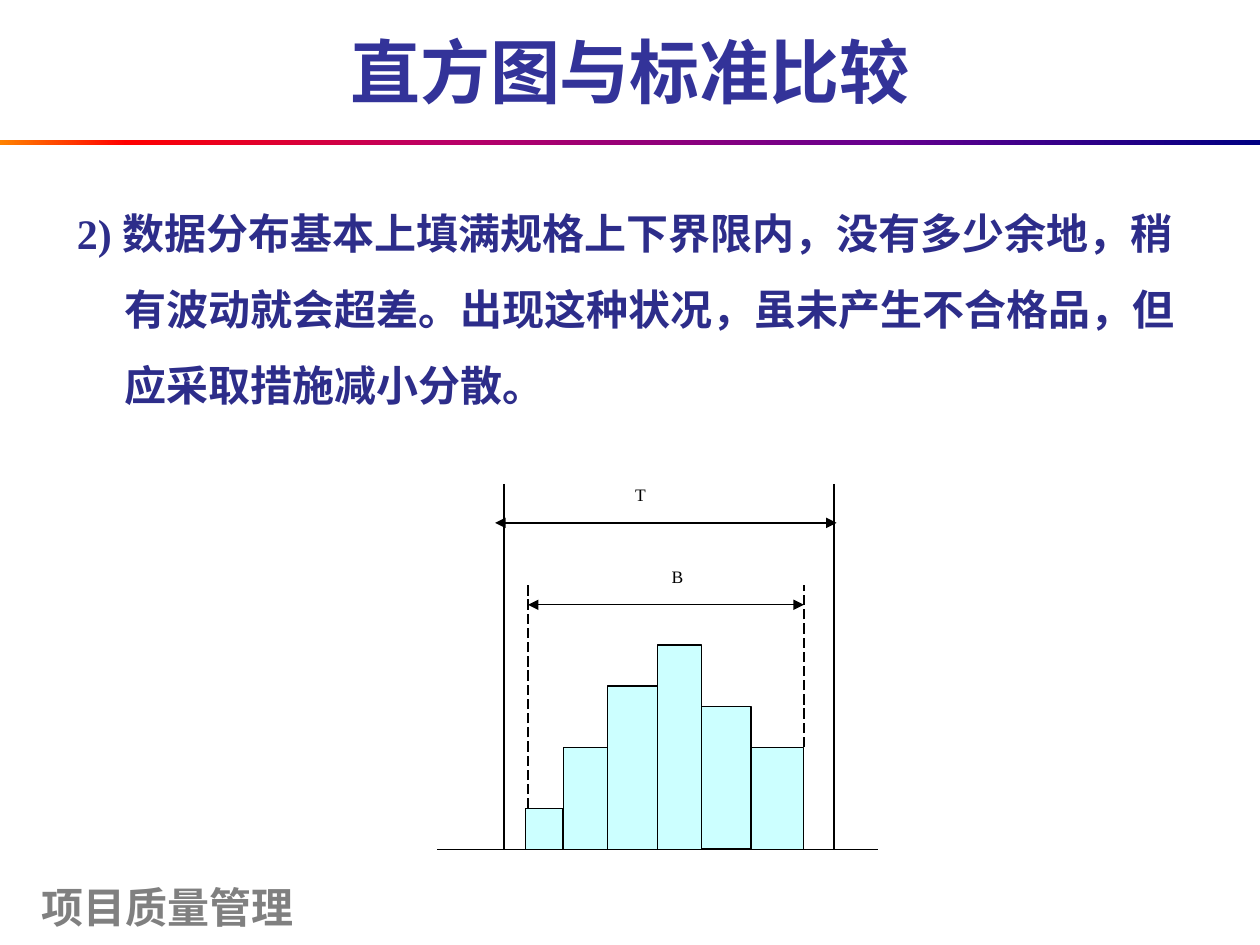
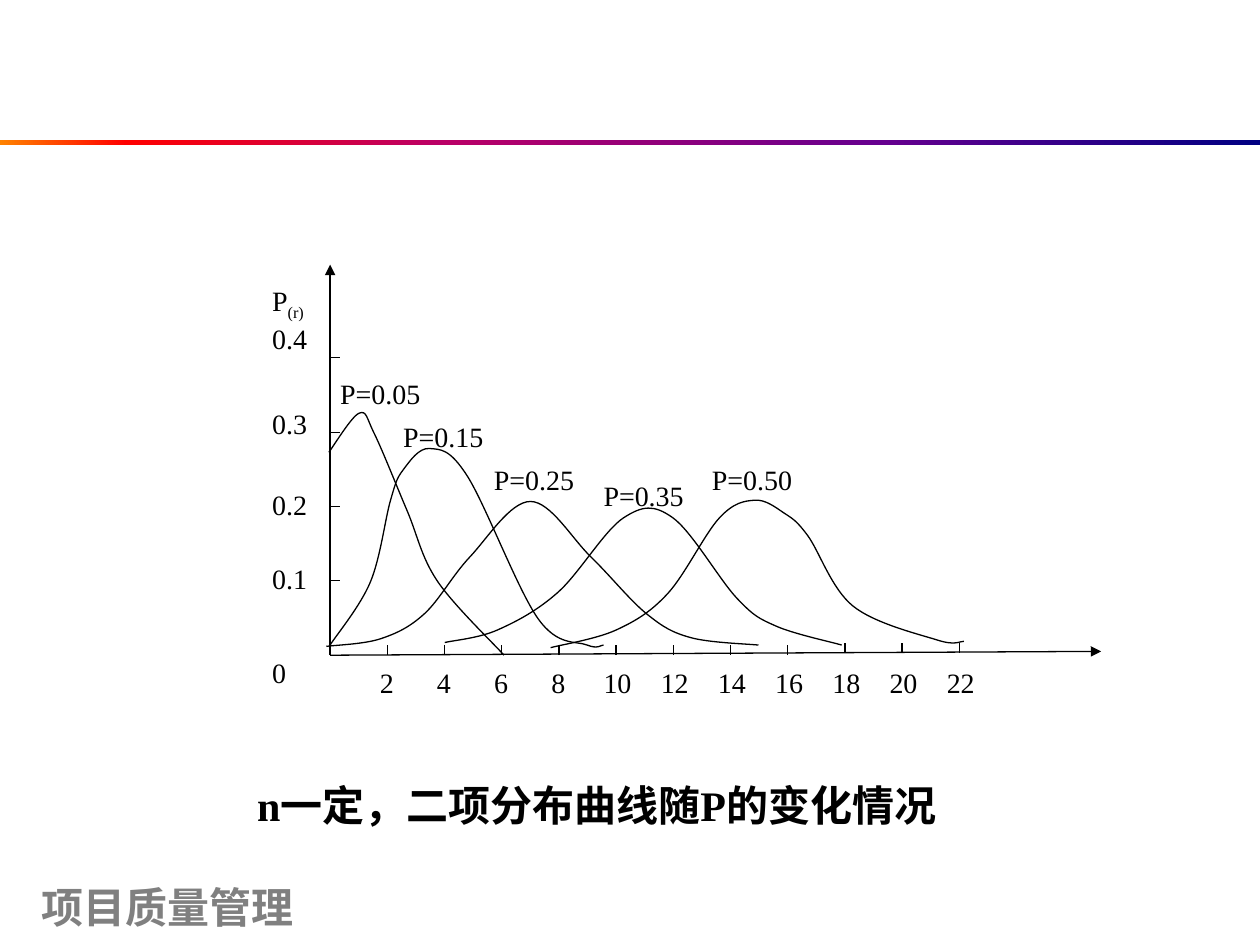
from itertools import pairwise

from lxml import etree
from pptx import Presentation
from pptx import util as u
from pptx.dml.color import RGBColor
from pptx.enum import dml, lang, shapes, text
from pptx.oxml.ns import qn

PX = 9144
WIDTH, HEIGHT = 1000, 750

BLACK = RGBColor.from_string("000000")
WHITE = RGBColor.from_string("FFFFFF")
GREY = RGBColor.from_string("808080")
TITLE_BLUE = RGBColor.from_string("333399")
BODY_BLUE = RGBColor.from_string("2D2D8A")
BAR_CYAN = RGBColor.from_string("CCFFFF")
ORANGE = RGBColor.from_string("FF8200")
RED = RGBColor.from_string("FF0000")
CRIMSON = RGBColor.from_string("BA0066")
PURPLE = RGBColor.from_string("66008F")
NAVY = RGBColor.from_string("000082")
BAND_STOPS = {0: ORANGE, 10: RED, 35: CRIMSON, 70: PURPLE, 100: NAVY}
SANS, SERIF = "Arial", "Times New Roman"

COURSE = "项目质量管理"
TITLE = "直方图与标准比较"
FINDING = ("2) 数据分布基本上填满规格上下界限内，没有多少余地，稍有波动就会超差。"
           "出现这种状况，虽未产生不合格品，但应采取措施减小分散。")
CAPTION = "n一定，二项分布曲线随P的变化情况"

BASELINE = 674
COUNT_HEIGHT = 16.2
COUNTS = [2, 5, 8, 10, 7, 5]
BAR_EDGES = [417, 447, 482, 522, 557, 596, 638]
TOLERANCE = {"name": "T", "label": (504, 383), "span": (400, 662), "arrow": 415}
SPREAD = {"name": "B", "label": (533, 448), "span": (419, 638), "arrow": 480}

ORIGIN = (262, 520)
X_STEP, Y_STEP = 45.4, 59
X_VALUES = range(2, 23, 2)
Y_LABELS = {"0.4": 255, "0.3": 323, "0.2": 387, "0.1": 446, "0": 520}
CURVES = [
    ("P=0.05", (270, 299),
     [(261, 359), (285, 328), (297, 344), (323, 405), (347, 461), (400, 520)]),
    ("P=0.15", (320, 333),
     [(262, 512), (294, 462), (310, 397), (320, 373), (341, 356), (371, 378),
      (427, 491), (466, 512), (479, 512)]),
    ("P=0.25", (392, 367),
     [(259, 513), (302, 507), (337, 487), (373, 442), (421, 398), (469, 442),
      (513, 487), (548, 506), (602, 512)]),
    ("P=0.35", (479, 380),
     [(353, 510), (395, 500), (443, 470), (495, 411), (534, 411), (585, 475),
      (616, 497), (668, 512)]),
    ("P=0.50", (565, 367),
     [(437, 514), (489, 500), (530, 471), (571, 411), (599, 397), (622, 407),
      (641, 425), (677, 481), (744, 508), (765, 509)]),
]


def emu(*lengths):
    return [round(length * PX) for length in lengths]


def write(paragraph, words, size, font, color, bold=False):
    run = paragraph.add_run()
    run.text = words
    run.font.size = u.Pt(size)
    run.font.name = font
    run.font.bold = bold
    run.font.color.rgb = color
    run.font.language_id = lang.MSO_LANGUAGE_ID.SIMPLIFIED_CHINESE
    return run


def place(shape, box):
    shape.left, shape.top, shape.width, shape.height = emu(*box)


def ink(line):
    line.color.rgb = BLACK
    line.width = u.Pt(0.75)


def add_box(part, box, fill):
    shape = part.shapes.add_shape(shapes.MSO_SHAPE.RECTANGLE, *emu(*box))
    shape.shadow.inherit = False
    shape.fill.solid()
    shape.fill.fore_color.rgb = fill
    shape.line.fill.background()
    return shape


def add_label(part, words, corner, extent=(45, 44), size=16, inset=0):
    frame = add_box(part, (*corner, *extent), WHITE).text_frame
    frame.margin_left = frame.margin_right = 0
    frame.margin_top = frame.margin_bottom = inset * PX
    frame.vertical_anchor = text.MSO_ANCHOR.TOP
    frame.word_wrap = True
    paragraph = frame.paragraphs[0]
    paragraph.alignment = text.PP_ALIGN.JUSTIFY
    write(paragraph, words, size, SERIF, BLACK)
    return paragraph


def add_line(part, start, end, arrows=(), dash=None):
    line = part.shapes.add_connector(
        shapes.MSO_CONNECTOR.STRAIGHT, *emu(*start, *end))
    ink(line.line)
    if dash:
        line.line.dash_style = dash
    properties = line.element.spPr
    for arrow in arrows:
        etree.SubElement(properties.find(qn("a:ln")), qn(arrow), type="triangle")
    etree.SubElement(properties, qn("a:effectLst"))


def bezier_points(knots):
    padded = [knots[0], *knots, knots[-1]]
    slopes = [[(after - before) / 6 for before, after in zip(left, right)]
              for left, right in zip(padded, padded[2:])]
    points = []
    for (start, leaving), (end, arriving) in pairwise(zip(knots, slopes)):
        points += [[a + b for a, b in zip(start, leaving)],
                   [a - b for a, b in zip(end, arriving)], end]
    return points


def add_curve(part, knots):
    builder = part.shapes.build_freeform(*emu(*knots[0]))
    builder.add_line_segments(
        [emu(*point) for point in bezier_points(knots)], close=False)
    curve = builder.convert_to_shape()
    curve.shadow.inherit = False
    curve.fill.background()
    ink(curve.line)
    outline = next(curve.element.iter(qn("a:path")))
    steps = outline.findall(qn("a:lnTo"))
    for first in range(0, len(steps), 3):
        bezier = etree.SubElement(outline, qn("a:cubicBezTo"))
        for step in steps[first:first + 3]:
            bezier.append(step[0])
            outline.remove(step)


def add_text(slide, words, box, color, font, wrap=True):
    words_box = slide.shapes.add_textbox(*emu(*box))
    frame = words_box.text_frame
    frame.word_wrap = wrap
    frame.vertical_anchor = text.MSO_ANCHOR.MIDDLE
    write(frame.paragraphs[0], words, 24, font, color, True)
    return words_box


def furnish_master(master, slide):
    course = add_text(slide, COURSE, (23, 695, 250, 50), GREY, SANS)
    band = add_box(slide, (0, 111, WIDTH, 4), WHITE)
    band.fill.gradient()
    band.fill.gradient_angle = 0
    stops = next(band.element.iter(qn("a:gsLst")))
    for stop in list(stops):
        stops.remove(stop)
    for percent, color in BAND_STOPS.items():
        stop = etree.SubElement(stops, qn("a:gs"), pos=str(percent * 1000))
        etree.SubElement(stop, qn("a:srgbClr"), val=str(color))
    for number, part in enumerate((course, band), 20):
        part.element.nvSpPr.cNvPr.set("id", str(number))
        master.shapes.element.append(part.element)


def fill_histogram_slide(slide):
    title, finding = slide.placeholders
    place(title, (51, 5, 898, 102))
    title.text_frame.vertical_anchor = text.MSO_ANCHOR.MIDDLE
    heading = title.text_frame.paragraphs[0]
    heading.alignment = text.PP_ALIGN.CENTER
    write(heading, TITLE, 40, SANS, TITLE_BLUE, True)

    place(finding, (51, 140, 900, 495))
    paragraph = finding.text_frame.paragraphs[0]
    paragraph.line_spacing = 1.5
    paragraph.space_before = u.Pt(0)
    write(paragraph, FINDING, 24, SERIF, BODY_BLUE, True)
    hanging = next(finding.element.iter(qn("a:pPr")))
    hanging.set("marL", str(38 * PX))
    hanging.set("indent", str(-38 * PX))
    etree.SubElement(hanging, qn("a:buNone"))
    for holder in (title, finding):
        holder.text_frame.auto_size = text.MSO_AUTO_SIZE.NONE

    histogram = slide.shapes.add_group_shape()
    both_ends = ("a:headEnd", "a:tailEnd")
    for measure in (TOLERANCE, SPREAD):
        add_label(histogram, measure["name"], measure["label"], (30, 32), 10, 1)
    add_line(histogram, (347, BASELINE), (697, BASELINE))
    tops = [BASELINE - count * COUNT_HEIGHT for count in COUNTS]
    for (left, right), top in zip(pairwise(BAR_EDGES), tops):
        ink(add_box(histogram, (left, top, right - left, BASELINE - top),
                    BAR_CYAN).line)
    for x, top in zip(SPREAD["span"], (tops[0], tops[-1])):
        add_line(histogram, (x, top), (x, 464), dash=dml.MSO_LINE.LONG_DASH)
    for x in TOLERANCE["span"]:
        add_line(histogram, (x, 384), (x, BASELINE))
    for measure, overshoot in ((TOLERANCE, (7, 2)), (SPREAD, (0, 0))):
        left, right = measure["span"]
        add_line(histogram, (left - overshoot[0], measure["arrow"]),
                 (right + overshoot[1], measure["arrow"]), both_ends)


def fill_binomial_slide(slide):
    plot = slide.shapes.add_group_shape()
    x0, y0 = ORIGIN
    axis_name = add_label(plot, "P", (216, 225))
    subscript = write(axis_name, "(r)", 16, SERIF, BLACK)
    subscript.font._element.set("baseline", "-25000")
    for words, top in Y_LABELS.items():
        add_label(plot, words, (216, top))
    for index, value in enumerate(X_VALUES, 1):
        x = x0 + X_STEP * index
        foot = y0 if index <= 8 else y0 - 2
        shift = 6 if value < 10 else 10
        add_label(plot, str(value), (x - shift, 528))
        add_line(plot, (x, foot), (x, foot - 8))
    for words, corner, _ in CURVES:
        add_label(plot, words, corner, (76, 29))
    for index in range(1, 5):
        y = y0 - Y_STEP * index
        add_line(plot, (x0, y), (x0 + 8, y))
    for axis_end in ((874, 517), (x0, 210)):
        add_line(plot, ORIGIN, axis_end, ("a:tailEnd",))
    for _, _, knots in CURVES:
        add_curve(plot, knots)

    caption = add_text(slide, CAPTION, (180, 614, 587, 50), BLACK, SERIF, False)
    caption.text_frame.paragraphs[0].alignment = text.PP_ALIGN.CENTER


def main():
    deck = Presentation()
    deck.slide_width, deck.slide_height = emu(WIDTH, HEIGHT)
    histogram_slide = deck.slides.add_slide(deck.slide_layouts[1])
    binomial_slide = deck.slides.add_slide(deck.slide_layouts[6])
    furnish_master(deck.slide_master, histogram_slide)
    fill_histogram_slide(histogram_slide)
    fill_binomial_slide(binomial_slide)
    deck.save("out.pptx")


if __name__ == "__main__":
    main()
